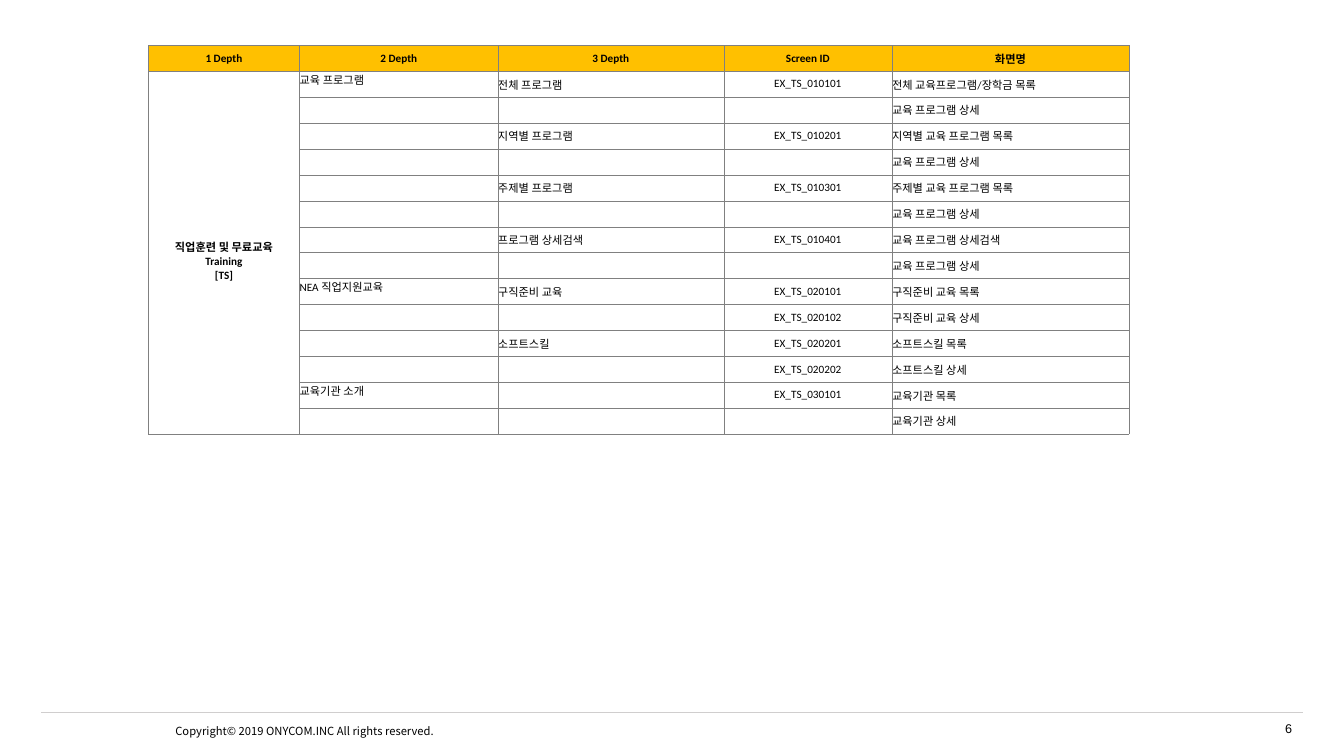
from dataclasses import dataclass

from lxml import etree
from pptx import Presentation
from pptx import util as u
from pptx.dml.color import RGBColor
from pptx.enum import shapes, text
from pptx.oxml import ns


@dataclass(frozen=True)
class Theme:
    """Colours, fonts and type sizes of the slide."""
    ink: str = "000000"
    paper: str = "FFFFFF"
    header: str = "FFC000"
    border: str = "808080"
    rule: str = "D0CECE"
    table_font: str = "Calibri"
    korean_font: str = "Noto Sans CJK KR"
    number_font: str = "Arial"
    small: int = 8
    number: int = 9
    border_width: float = 0.25
    rule_width: float = 0.5


T = Theme()
HEADERS = ["1 Depth", "2 Depth", "3 Depth", "Screen ID", "화면명"]
COLUMN_CM = [3.81, 5.0, 5.69, 4.24, 5.97]
SECTION = "직업훈련 및 무료교육\vTraining\v[TS]"
SCREENS = [
    ("교육 프로그램", "전체 프로그램", "EX_TS_010101", "전체 교육프로그램/장학금 목록"),
    ("", "", "", "교육 프로그램 상세"),
    ("", "지역별 프로그램", "EX_TS_010201", "지역별 교육 프로그램 목록"),
    ("", "", "", "교육 프로그램 상세"),
    ("", "주제별 프로그램", "EX_TS_010301", "주제별 교육 프로그램 목록"),
    ("", "", "", "교육 프로그램 상세"),
    ("", "프로그램 상세검색", "EX_TS_010401", "교육 프로그램 상세검색"),
    ("", "", "", "교육 프로그램 상세"),
    ("NEA 직업지원교육", "구직준비 교육", "EX_TS_020101", "구직준비 교육 목록"),
    ("", "", "EX_TS_020102", "구직준비 교육 상세"),
    ("", "소프트스킬", "EX_TS_020201", "소프트스킬 목록"),
    ("", "", "EX_TS_020202", "소프트스킬 상세"),
    ("교육기관 소개", "", "EX_TS_030101", "교육기관 목록"),
    ("", "", "", "교육기관 상세"),
]


def rgb(value):
    """Return a colour object for a hex value."""
    return RGBColor.from_string(value)


def style_text(tf, font, size, bold=False):
    """Format every run of a text frame."""
    for p in tf.paragraphs:
        p._p.get_or_add_endParaRPr().set("sz", str(size * 100))
        for r in p.runs:
            r.font.name, r.font.size, r.font.bold = font, u.Pt(size), bold
            r.font.color.rgb = rgb(T.ink)
            ea = etree.SubElement(r._r.get_or_add_rPr(), ns.qn("a:ea"))
            ea.set("typeface", T.korean_font)


def add_borders(cell):
    """Draw a thin line on the four sides of a cell."""
    props = cell._tc.get_or_add_tcPr()
    for side in ("lnL", "lnR", "lnT", "lnB"):
        ln = etree.SubElement(props, ns.qn(f"a:{side}"), w=str(u.Pt(T.border_width)))
        fill = etree.SubElement(ln, ns.qn("a:solidFill"))
        etree.SubElement(fill, ns.qn("a:srgbClr"), val=T.border)


def fill_cell(cell, words, fill, bold, centred, anchor):
    """Write and format one table cell."""
    cell.margin_left = cell.margin_right = cell.margin_top = cell.margin_bottom = 0
    cell.vertical_anchor = anchor
    add_borders(cell)
    cell.fill.solid()
    cell.fill.fore_color.rgb = rgb(fill)
    tf = cell.text_frame
    tf.text = words
    if centred:
        tf.paragraphs[0].alignment = text.PP_ALIGN.CENTER
    style_text(tf, T.table_font, T.small, bold)


def add_screen_table(s, left, top, width, height):
    """Place the screen list table in the given box."""
    rows = [HEADERS] + [("", *screen) for screen in SCREENS]
    table = s.shapes.add_table(len(rows), len(HEADERS), left, top, width, height).table
    table.horz_banding = table.first_row = False
    for column, cm in zip(table.columns, COLUMN_CM):
        column.width = u.Cm(cm)
    for i, row in enumerate(rows):
        table.rows[i].height = height // len(rows)
        for j, words in enumerate(row):
            head = i == 0
            top_set = j == 1 and not head
            anchor = text.MSO_ANCHOR.TOP if top_set else text.MSO_ANCHOR.MIDDLE
            fill_cell(table.cell(i, j), words, T.header if head else T.paper,
                      head, head or j == 3, anchor)
    section = table.cell(1, 0)
    section.merge(table.cell(len(rows) - 1, 0))
    section.margin_top = u.Cm(0.4)
    section.text_frame.text = SECTION
    section.text_frame.paragraphs[0].alignment = text.PP_ALIGN.CENTER
    style_text(section.text_frame, T.table_font, T.small, True)


def add_label(s, words, left, top, width, height, font, size):
    """Place one line of plain text."""
    tf = s.shapes.add_textbox(left, top, width, height).text_frame
    tf.word_wrap = True
    tf.text = words
    style_text(tf, font, size)


def add_footer(s, left, top, width):
    """Place the footer rule, copyright line and page number."""
    rule = s.shapes.add_connector(shapes.MSO_CONNECTOR.STRAIGHT, left, top, left + width, top)
    rule.line.color.rgb = rgb(T.rule)
    rule.line.width = u.Pt(T.rule_width)
    etree.SubElement(rule._element.spPr, ns.qn("a:effectLst"))
    add_label(s, "Copyright© 2019 ONYCOM.INC All rights reserved.",
              left + u.Cm(3.13), top + u.Cm(0.18), u.Cm(7.29), u.Cm(0.61),
              T.korean_font, T.small)
    add_label(s, "6", left + width - u.Cm(0.7), top + u.Cm(0.08),
              u.Cm(1.42), u.Cm(1.02), T.number_font, T.number)


def main():
    """Build and save the slide."""
    prs = Presentation()
    prs.slide_width, prs.slide_height = u.Cm(33.87), u.Cm(19.05)
    s = prs.slides.add_slide(prs.slide_layouts[6])
    add_footer(s, u.Cm(1.04), u.Cm(17.96), u.Cm(31.8))
    add_screen_table(s, u.Cm(3.74), u.Cm(1.14), u.Cm(sum(COLUMN_CM)), u.Cm(9.8))
    prs.save("out.pptx")


if __name__ == "__main__":
    main()
